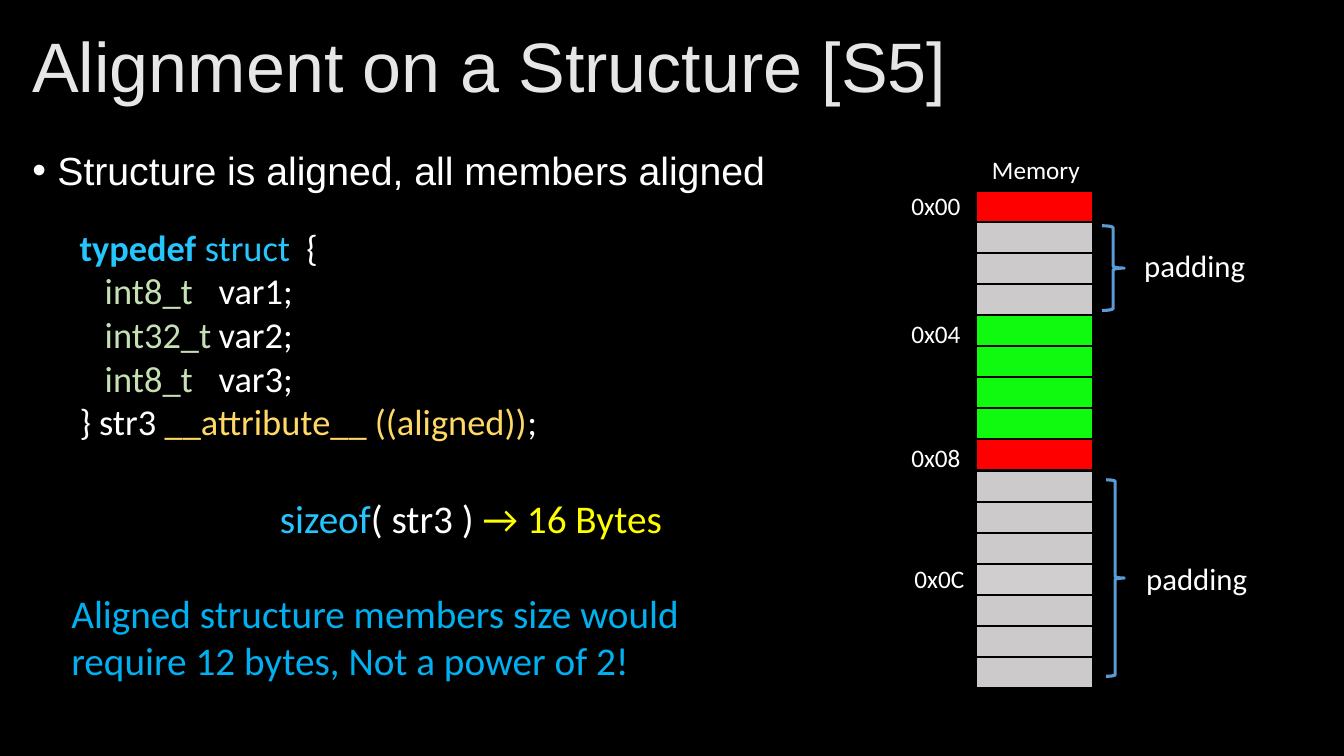
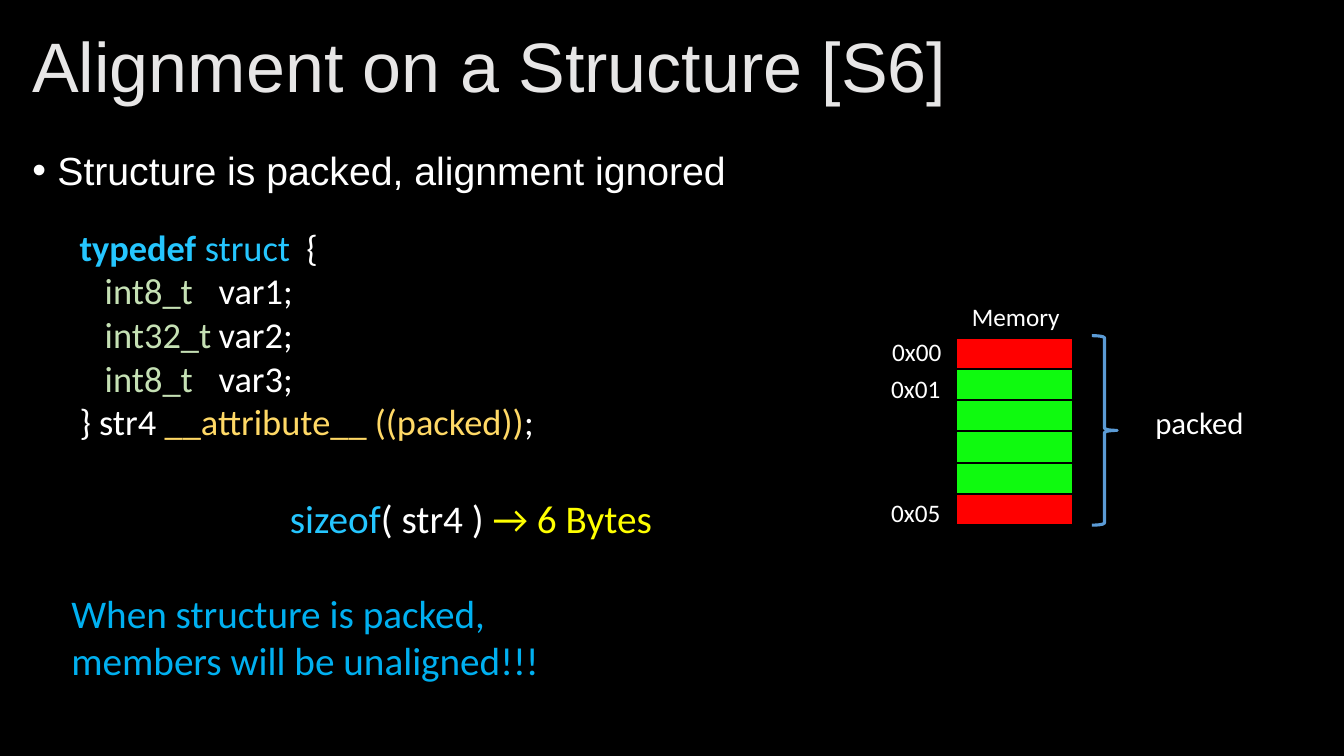
from lxml import etree
from pptx import Presentation
from pptx import util as u
from pptx.dml.color import RGBColor
from pptx.enum import shapes, text
from pptx.oxml.ns import qn

HUES = {
    "black": "000000", "white": "FFFFFF", "title": "E7E6E6",
    "key": "25C6FF", "type": "C5E0B4", "attr": "FFD966",
    "size": "FFFF00", "note": "00B0F0", "brace": "5B9BD5",
    "red": "FF0000", "green": "0FFA0F", "gray": "CCCACA", "pale": "D0CECE",
}
CELLS = {"r": "red", "g": "green", "p": "gray", "q": "pale"}
TABS = (0.25, 1.38, 2.25)  # member type, member name, opening brace
CELL_W = 1.16
MARK_W = 0.72


def hue(name):
    return RGBColor.from_string(HUES[name])


def inch(*nums):
    return [u.Inches(n) for n in nums]


def write(frame, lines, size=28, font="Calibri", color="white",
          align="LEFT", wrap=True, grow=True, gap=0, space=None):
    """Fill a frame; each line is a string or a list of (text, color[, bold])."""
    frame.word_wrap = wrap
    fit = text.MSO_AUTO_SIZE
    frame.auto_size = fit.SHAPE_TO_FIT_TEXT if grow else fit.NONE
    for i, line in enumerate(lines):
        para = frame.add_paragraph() if i else frame.paragraphs[0]
        para.alignment = getattr(text.PP_ALIGN, align)
        para.space_before = u.Pt(gap)
        if space:
            para.line_spacing = space
        for words, shade, *bold in [(line, color)] if isinstance(line, str) else line:
            run = para.add_run()
            run.text = words
            run.font.size, run.font.name = u.Pt(size), font
            run.font.bold = bool(bold)
            run.font.color.rgb = hue(shade)


def label(slide, box, lines, **form):
    frame = slide.shapes.add_textbox(*inch(*box)).text_frame
    write(frame, lines, **form)
    return frame


def head(slide, title, point):
    name, body = slide.placeholders
    name.text_frame.vertical_anchor = text.MSO_ANCHOR.MIDDLE
    write(name.text_frame, [title], size=50, font="Arial", color="title",
          grow=False, space=0.9)
    write(body.text_frame, [point], font="Arial", grow=False, gap=10)
    # Hanging bullet
    props = body.text_frame.paragraphs[0]._p.get_or_add_pPr()
    props.set("marL", str(u.Inches(0.25)))
    props.set("indent", str(u.Inches(-0.25)))
    etree.SubElement(props, qn("a:buChar"), char="•")


def code(slide, name, attr):
    members = [[("\t" + kind, "type"), ("\t" + var + ";", "white")]
               for kind, var in (("int8_t", "var1"), ("int32_t", "var2"),
                                 ("int8_t", "var3"))]
    first = [("typedef ", "key", True), ("struct", "key"), ("\t{", "white")]
    last = [("} " + name + " ", "white"),
            (f"__attribute__ (({attr}))", "attr"), (";", "white")]
    frame = label(slide, (0.69, 2.18, 6.78, 2.29), [first, *members, last], size=26)
    for para in frame.paragraphs:
        stops = etree.SubElement(para._p.get_or_add_pPr(), qn("a:tabLst"))
        for stop in TABS:
            etree.SubElement(stops, qn("a:tab"), pos=str(u.Inches(stop)), algn="l")


def result(slide, name, size, note, width):
    line = [("sizeof", "key"), (f"( {name} ) ", "white"), (f"→ {size} Bytes", "size")]
    label(slide, (2.21, 4.85, 4.92, 0.57), [line], align="CENTER")
    label(slide, (0.61, 5.8, width, 1.04), [note], color="note")


def shape(slide, kind, box, line, weight, fill=None):
    item = slide.shapes.add_shape(kind, *inch(*box))
    item.shadow.inherit = False
    item.line.color.rgb, item.line.width = hue(line), u.Pt(weight)
    if fill:
        item.fill.solid()
        item.fill.fore_color.rgb = hue(fill)
    else:
        item.fill.background()


def memory(slide, left, top, end, cells, marks):
    """Stack one cell per letter; marks are (address, left, top)."""
    high = (end - top) / len(cells)
    for i, cell in enumerate(cells):
        shape(slide, shapes.MSO_SHAPE.RECTANGLE,
              (left, top + i * high, CELL_W, high), "black", 1.5, CELLS[cell])
    label(slide, (left + 0.06, top - 0.41, 1.08, 0.4), ["Memory"], size=18, wrap=False)
    for mark, x, y in marks:
        label(slide, (x, y, MARK_W, 0.4), [mark], size=18, wrap=False)


def brace(slide, box, words, spot):
    shape(slide, shapes.MSO_SHAPE.RIGHT_BRACE, box, "brace", 2.25)
    label(slide, spot, [words], size=22, wrap=False)


def setup():
    """Set the shared size, background and placeholder places."""
    deck = Presentation()
    deck.slide_width, deck.slide_height = inch(13.33, 7.5)
    fill = deck.slide_master.background.fill
    fill.solid()
    fill.fore_color.rgb = hue("black")
    layout = deck.slide_layouts[1]
    for i, box in enumerate(((0.22, 0.21, 12.89, 0.97), (0.22, 1.4, 12.39, 0.57))):
        hold = layout.placeholders[i]
        hold.left, hold.top, hold.width, hold.height = inch(*box)
    return deck, layout


def main():
    deck, layout = setup()

    # Aligned structure
    page = deck.slides.add_slide(layout)
    head(page, "Alignment on a Structure [S5]", "Structure is aligned, all members aligned")
    code(page, "str3", "aligned")
    result(page, "str3", 16, "Aligned structure members size would "
           "require 12 bytes, Not a power of 2!", 7.24)
    memory(page, 9.68, 1.89, 6.83, "rpppggggrpppqppp",
           [("0x00", 8.94, 1.84), ("0x04", 8.94, 3.11),
            ("0x08", 8.94, 4.34), ("0x0C", 8.97, 5.54)])
    brace(page, (10.93, 2.24, 0.22, 0.84), "padding", (11.25, 2.4, 1.21, 0.47))
    brace(page, (10.97, 4.76, 0.18, 1.95), "padding", (11.27, 5.5, 1.21, 0.47))

    # Packed structure
    page = deck.slides.add_slide(layout)
    head(page, "Alignment on a Structure [S6]", "Structure is packed, alignment ignored")
    code(page, "str4", "packed")
    result(page, "str4", 6, "When structure is packed, "
           "members will be unaligned!!!", 5.78)
    memory(page, 9.48, 3.35, 5.21, "rggggr",
           [("0x00", 8.75, 3.29), ("0x01", 8.74, 3.65), ("0x05", 8.74, 4.88)])
    brace(page, (10.83, 3.33, 0.25, 1.88), "packed", (11.36, 3.96, 1.09, 0.47))

    deck.save("out.pptx")


if __name__ == "__main__":
    main()
